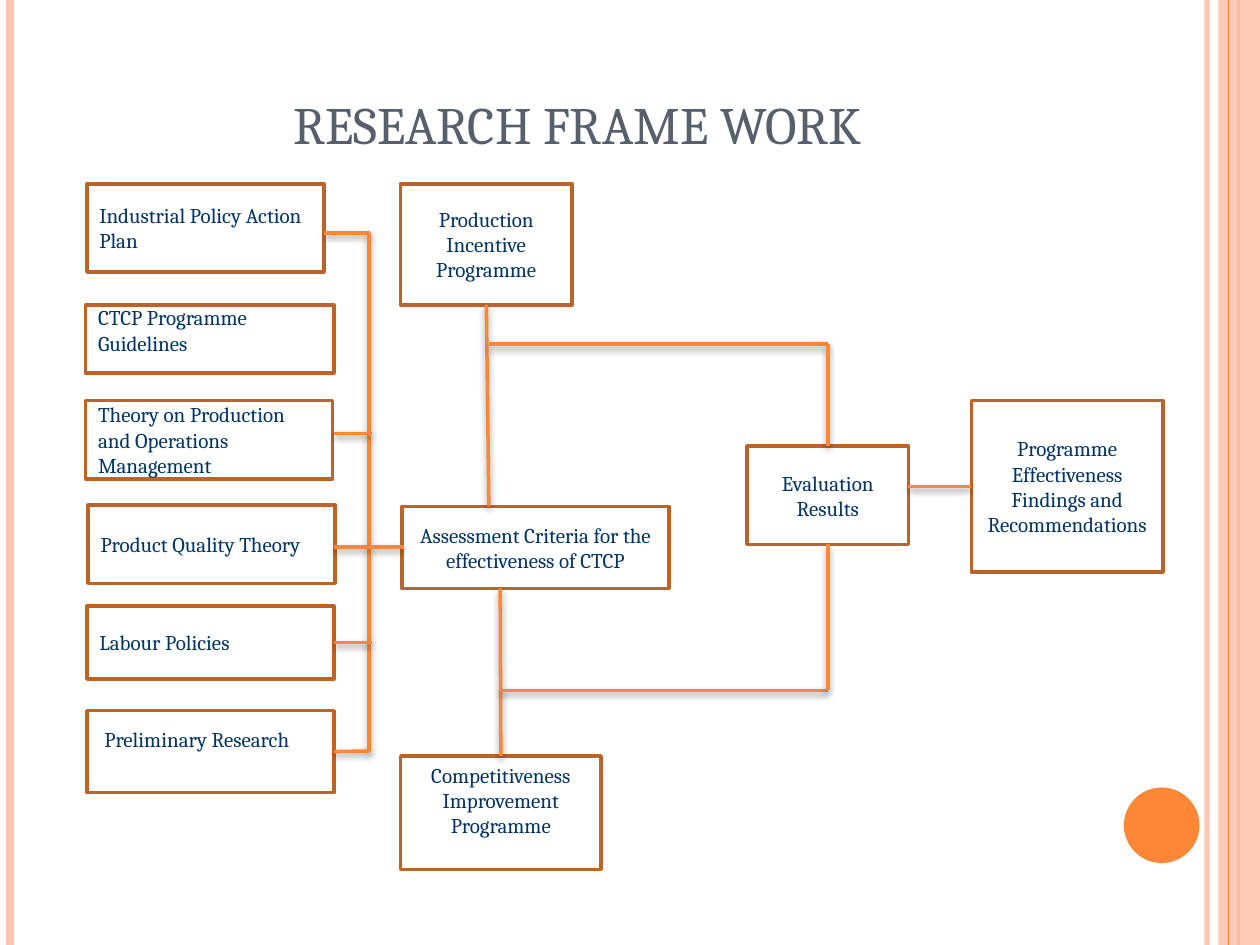
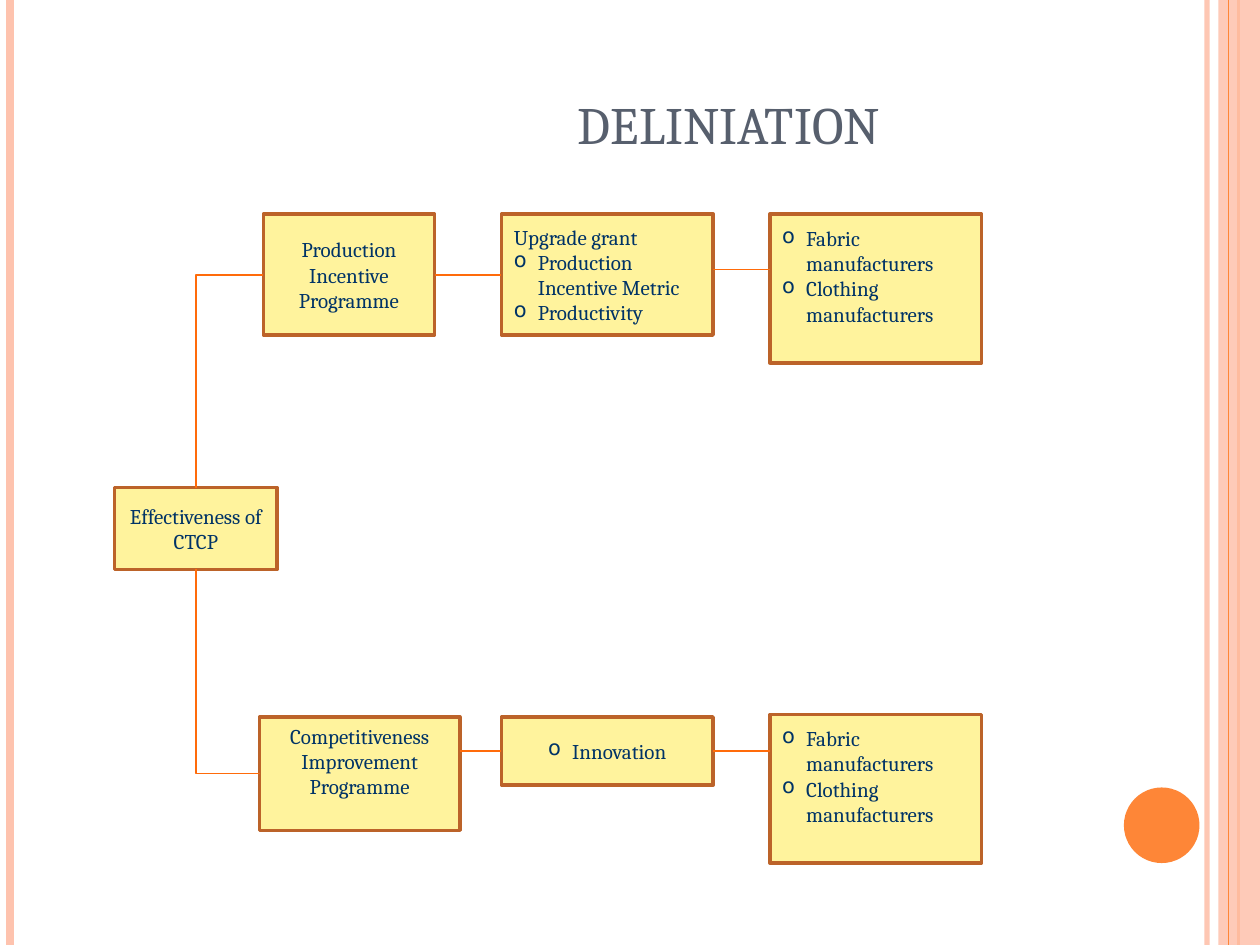
from dataclasses import dataclass

from lxml.etree import SubElement
from pptx import Presentation
from pptx.dml.color import RGBColor
from pptx.enum.shapes import MSO_CONNECTOR, MSO_SHAPE
from pptx.enum.text import MSO_ANCHOR, PP_ALIGN
from pptx.oxml.ns import qn
from pptx.util import Inches, Pt

COLORS = {
    "band": "FEC3AE",
    "accent": "FE8637",
    "title": "575F6D",
    "border": "BC6329",
    "text": "003366",
    "note": "FFF39D",
    "thin": "FF6B0A",
    "shadow": "000000",
}
FONT = "Cambria"
BULLET_INDENT = Inches(0.19)
EXTRA_BOTTOM = 0.25


@dataclass(frozen=True)
class Box:
    name: str
    left: float
    top: float
    width: float
    height: float
    lines: tuple[str, ...] = ()
    bullets: tuple[str, ...] = ()
    align: PP_ALIGN = PP_ALIGN.CENTER
    bottom: float = 0.05


@dataclass(frozen=True)
class Label:
    text: str
    left: float
    top: float
    width: float
    height: float
    wrap: bool = True


@dataclass(frozen=True)
class Joint:
    box: str
    site: int


@dataclass(frozen=True)
class Wire:
    x1: float
    y1: float
    x2: float
    y2: float
    begin: Joint | None = None
    end: Joint | None = None
    bent: bool = False


@dataclass(frozen=True)
class WireStyle:
    color: str
    width: float
    shadow: bool


def rgb(name: str) -> RGBColor:
    return RGBColor.from_string(COLORS[name])


def set_alpha(element, percent: int) -> None:
    clr = next(element.iter(qn("a:srgbClr")))
    SubElement(clr, qn("a:alpha"), val=str(percent * 1000))


def add_shadow(effects) -> None:
    outer = SubElement(effects, qn("a:outerShdw"), blurRad=str(Pt(4)),
                       dist=str(Pt(2)), dir="5400000", rotWithShape="0")
    SubElement(outer, qn("a:srgbClr"), val=COLORS["shadow"])
    set_alpha(outer, 40)


def add_line(s, wire: Wire, style: WireStyle):
    kind = MSO_CONNECTOR.ELBOW if wire.bent else MSO_CONNECTOR.STRAIGHT
    ends = (Inches(v) for v in (wire.x1, wire.y1, wire.x2, wire.y2))
    line = s.shapes.add_connector(kind, *ends)
    line.line.color.rgb = rgb(style.color)
    line.line.width = Pt(style.width)
    props = line.element.spPr
    if wire.bent:
        props.find(qn("a:prstGeom")).set("prst", "bentConnector2")
    effects = SubElement(props, qn("a:effectLst"))
    if style.shadow:
        add_shadow(effects)
    return line


def add_fill(s, shape: MSO_SHAPE, color: str, left: float, top: float,
             width: float, height: float):
    sp = s.shapes.add_shape(shape, Inches(left), Inches(top),
                            Inches(width), Inches(height))
    sp.shadow.inherit = False
    sp.fill.solid()
    sp.fill.fore_color.rgb = rgb(color)
    sp.line.fill.background()
    return sp


def add_rule(s, x: float, color: str, width: float):
    return add_line(s, Wire(x, 0, x, 7.5), WireStyle(color, width, False))


def set_font(p, size: float = 12, color: str = "text") -> None:
    p.font.name = FONT
    p.font.size = Pt(size)
    p.font.color.rgb = rgb(color)


def add_bullet(p) -> None:
    props = p._p.get_or_add_pPr()
    props.set("marL", str(BULLET_INDENT))
    props.set("indent", str(-BULLET_INDENT))
    SubElement(props, qn("a:buChar"), char="o")


def start_slide(prs, title: str, title_inset: float = 0.1):
    s = prs.slides.add_slide(prs.slide_layouts[6])
    edge = add_rule(s, 9.58, "band", 3)
    set_alpha(edge.element.spPr, 93)
    add_rule(s, 0.08, "band", 4.5)
    add_rule(s, 9.83, "accent", 1.5)
    band = add_fill(s, MSO_SHAPE.RECTANGLE, "band", 9.67, 0, 0.33, 7.5)
    set_alpha(band.element.spPr, 87)
    add_rule(s, 9.75, "accent", 0.75)
    add_fill(s, MSO_SHAPE.OVAL, "accent", 8.92, 6.25, 0.6, 0.6)

    tf = s.shapes.add_textbox(Inches(0.5), Inches(0.3),
                              Inches(8.17), Inches(0.93)).text_frame
    tf.word_wrap = True
    tf.vertical_anchor = MSO_ANCHOR.BOTTOM
    tf.margin_left = Inches(title_inset)
    tf.margin_bottom = 0
    p = tf.paragraphs[0]
    p.text = title
    p.alignment = PP_ALIGN.CENTER
    set_font(p, 30, "title")
    return s


def add_box(s, box: Box, fill: str | None):
    sp = s.shapes.add_shape(MSO_SHAPE.RECTANGLE, Inches(box.left), Inches(box.top),
                            Inches(box.width), Inches(box.height))
    sp.shadow.inherit = False
    if fill:
        sp.fill.solid()
        sp.fill.fore_color.rgb = rgb(fill)
    else:
        sp.fill.background()
    sp.line.color.rgb = rgb("border")
    sp.line.width = Pt(2)
    tf = sp.text_frame
    tf.word_wrap = True
    tf.vertical_anchor = MSO_ANCHOR.MIDDLE
    tf.margin_bottom = Inches(box.bottom)
    for i, text in enumerate(box.lines + box.bullets):
        p = tf.paragraphs[0] if i == 0 else tf.add_paragraph()
        p.text = text
        p.alignment = box.align
        set_font(p)
        if i >= len(box.lines):
            add_bullet(p)
    return sp


def add_label(s, label: Label) -> None:
    tf = s.shapes.add_textbox(Inches(label.left), Inches(label.top),
                              Inches(label.width), Inches(label.height)).text_frame
    tf.word_wrap = label.wrap
    p = tf.paragraphs[0]
    p.text = label.text
    set_font(p)


def add_diagram(s, boxes: list[Box], wires: list[Wire], style: WireStyle,
                fill: str | None = None) -> None:
    shapes = {box.name: add_box(s, box, fill) for box in boxes}
    for wire in wires:
        line = add_line(s, wire, style)
        if wire.begin:
            line.begin_connect(shapes[wire.begin.box], wire.begin.site)
        if wire.end:
            line.end_connect(shapes[wire.end.box], wire.end.site)


PRODUCTION = ("Production Incentive Programme",)
COMPETITIVENESS = ("Competitiveness Improvement", "Programme")
MAKERS = ("Fabric manufacturers", "Clothing manufacturers")
LEFT = PP_ALIGN.LEFT

FRAMEWORK_BOXES = [
    Box("policy", 0.69, 1.46, 1.88, 0.7, ("Industrial Policy Action Plan",), align=LEFT),
    Box("guidelines", 0.68, 2.42, 1.97, 0.54),
    Box("theory", 0.68, 3.18, 1.96, 0.62,
        ("Theory on Production and Operations Management",), align=LEFT),
    Box("quality", 0.7, 4.01, 1.96, 0.62, ("Product Quality Theory",), align=LEFT),
    Box("labour", 0.69, 4.81, 1.96, 0.58, ("Labour Policies",), align=LEFT),
    Box("research", 0.69, 5.64, 1.96, 0.65),
    Box("criteria", 3.19, 4.02, 2.12, 0.65,
        ("Assessment Criteria for the effectiveness of CTCP",)),
    Box("production", 3.18, 1.46, 1.36, 0.96, PRODUCTION),
    Box("competitiveness", 3.18, 6, 1.59, 0.9, COMPETITIVENESS, bottom=EXTRA_BOTTOM),
    Box("evaluation", 5.93, 3.54, 1.28, 0.78, ("Evaluation Results",)),
    Box("findings", 7.71, 3.18, 1.52, 1.36,
        ("Programme Effectiveness", "Findings and Recommendations")),
]
FRAMEWORK_LABELS = [
    Label("CTCP Programme Guidelines", 0.68, 2.37, 2, 0.71),
    Label("Preliminary Research", 0.73, 5.72, 1.95, 0.3, wrap=False),
]
FRAMEWORK_WIRES = [
    Wire(2.57, 1.85, 2.94, 1.85),
    Wire(2.93, 1.85, 2.93, 5.96),
    Wire(2.65, 3.44, 2.95, 3.44),
    Wire(2.65, 4.34, 3.21, 4.34),
    Wire(2.65, 5.1, 2.95, 5.1, begin=Joint("labour", 3)),
    Wire(2.65, 5.96, 2.94, 5.96, begin=Joint("research", 3)),
    Wire(3.86, 2.42, 3.88, 4.02, begin=Joint("production", 2)),
    Wire(3.97, 4.67, 3.97, 6, end=Joint("competitiveness", 0)),
    Wire(3.88, 2.73, 6.57, 2.73),
    Wire(3.97, 5.48, 6.57, 5.48),
    Wire(7.21, 3.86, 7.71, 3.86, end=Joint("findings", 1)),
    Wire(6.57, 2.73, 6.57, 3.54, end=Joint("evaluation", 0)),
    Wire(6.57, 4.32, 6.57, 5.48, begin=Joint("evaluation", 2)),
]

DELINEATION_BOXES = [
    Box("effectiveness", 0.91, 3.87, 1.29, 0.65, ("Effectiveness of CTCP",)),
    Box("production", 2.09, 1.7, 1.36, 0.96, PRODUCTION),
    Box("competitiveness", 2.06, 5.69, 1.59, 0.9, COMPETITIVENESS, bottom=EXTRA_BOTTOM),
    Box("grant", 3.98, 1.7, 1.68, 0.96, ("Upgrade grant",),
        ("Production Incentive Metric", "Productivity"), LEFT),
    Box("innovation", 3.98, 5.69, 1.68, 0.54, bullets=("Innovation",)),
    Box("grant makers", 6.11, 1.7, 1.68, 1.18, (), MAKERS, LEFT, EXTRA_BOTTOM),
    Box("innovation makers", 6.11, 5.67, 1.68, 1.18, (), MAKERS, LEFT, EXTRA_BOTTOM),
]
DELINEATION_WIRES = [
    Wire(2.09, 2.18, 1.55, 3.87, Joint("production", 1), Joint("effectiveness", 0), True),
    Wire(2.06, 6.14, 1.55, 4.52, Joint("competitiveness", 1), Joint("effectiveness", 2), True),
    Wire(3.45, 2.18, 3.98, 2.18, Joint("production", 3), Joint("grant", 1)),
    Wire(5.66, 2.14, 6.11, 2.14),
    Wire(3.65, 5.96, 3.98, 5.96, end=Joint("innovation", 1)),
    Wire(5.66, 5.96, 6.11, 5.96, begin=Joint("innovation", 3)),
]


def main() -> None:
    prs = Presentation()
    prs.slide_width = Inches(10)
    prs.slide_height = Inches(7.5)

    s = start_slide(prs, "RESEARCH FRAME WORK")
    add_diagram(s, FRAMEWORK_BOXES, FRAMEWORK_WIRES, WireStyle("accent", 2, True))
    for label in FRAMEWORK_LABELS:
        add_label(s, label)

    s = start_slide(prs, "DELINIATION", title_inset=2.5)
    add_diagram(s, DELINEATION_BOXES, DELINEATION_WIRES,
                WireStyle("thin", 1, False), "note")

    prs.save("out.pptx")


if __name__ == "__main__":
    main()
